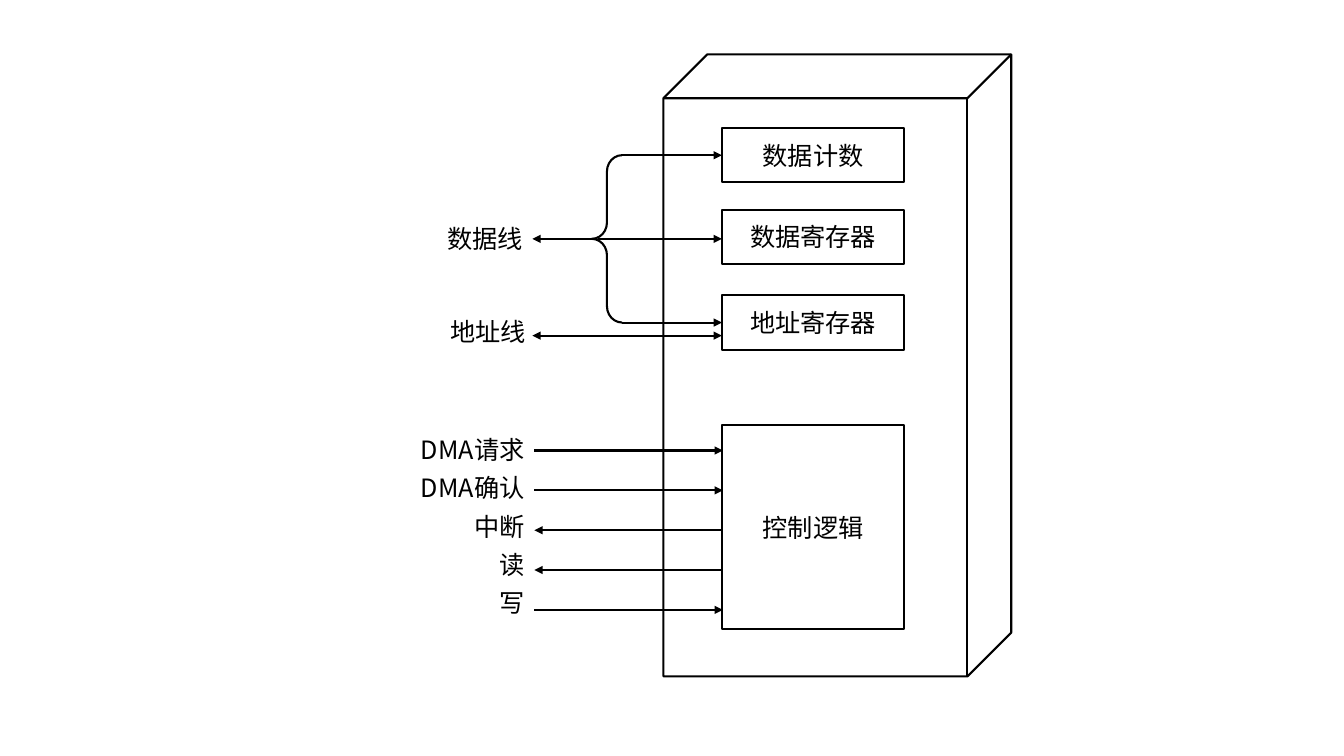
from lxml import etree
from pptx import Presentation
from pptx.dml.color import RGBColor
from pptx.enum.shapes import MSO_CONNECTOR, MSO_SHAPE
from pptx.enum.text import MSO_ANCHOR, PP_ALIGN
from pptx.oxml.ns import qn
from pptx.util import Inches, Pt

BLACK = RGBColor(0, 0, 0)
FONT = "Noto Sans CJK SC"

# Content: blocks as (text, top, height)
BLOCKS = [
    ("数据计数", 1.27, 0.54),
    ("数据寄存器", 2.08, 0.54),
    ("地址寄存器", 2.93, 0.54),
    ("控制逻辑", 4.22, 2.02),
]
# Bus labels as (text, left, top)
BUS_LABELS = [("数据线", 4.34, 2.17), ("地址线", 4.37, 3.09)]
# Control signals as (text, runs into the control logic)
SIGNALS = [
    ("DMA请求", True),
    ("DMA确认", True),
    ("中断", False),
    ("读", False),
    ("写", True),
]

# Layout
BLOCK_LEFT, BLOCK_WIDTH = 7.16, 1.81
BUS_LEFT = 5.28
BRACE_LEFT, BRACE_WIDTH = 5.87, 0.3
BRACE_TOP, BRACE_BOTTOM = 1.54, 3.2
BRACE_MIDDLE = (BRACE_TOP + BRACE_BOTTOM) / 2
ADDRESS_Y = 3.33
SIGNAL_LEFT, SIGNAL_RIGHT = 5.3, 7.17
SIGNAL_TOP, SIGNAL_STEP = 4.47, 0.395
LABEL_LEFT, LABEL_TOP, LABEL_STEP = 3.98, 4.26, 0.38

presentation = Presentation()
presentation.slide_width = Inches(13.33)
presentation.slide_height = Inches(7.5)
slide = presentation.slides.add_slide(presentation.slide_layouts[6])


def write(frame, text, alignment):
    frame.word_wrap = True
    paragraph = frame.paragraphs[0]
    paragraph.text = text
    paragraph.alignment = alignment
    font = paragraph.font
    font.size = Pt(18)
    font.color.rgb = BLACK
    font.name = FONT
    properties = paragraph._p.pPr.find(qn("a:defRPr"))
    etree.SubElement(properties, qn("a:ea"), typeface=FONT)


def add_outline(kind, left, top, width, height, *adjustments):
    shape = slide.shapes.add_shape(
        kind, Inches(left), Inches(top), Inches(width), Inches(height))
    for index, value in enumerate(adjustments):
        shape.adjustments[index] = value
    shape.shadow.inherit = False
    shape.fill.background()
    shape.line.color.rgb = BLACK
    shape.line.width = Pt(1.5)
    return shape


def add_label(text, left, top, width, alignment):
    box = slide.shapes.add_textbox(
        Inches(left), Inches(top), Inches(width), Inches(0.4))
    write(box.text_frame, text, alignment)


def add_arrow(start, end, y, both_ends=False):
    arrow = slide.shapes.add_connector(
        MSO_CONNECTOR.STRAIGHT, Inches(start), Inches(y), Inches(end), Inches(y))
    arrow.line.color.rgb = BLACK
    arrow.line.width = Pt(1.5)
    line = arrow.line._get_or_add_ln()
    for tag in ("a:headEnd", "a:tailEnd") if both_ends else ("a:tailEnd",):
        etree.SubElement(line, qn(tag), type="triangle")
    etree.SubElement(arrow._element.spPr, qn("a:effectLst"))
    return arrow


# Module body and its blocks
add_outline(MSO_SHAPE.CUBE, 6.58, 0.54, 3.45, 6.17, 0.126)
blocks = []
for text, top, height in BLOCKS:
    block = add_outline(MSO_SHAPE.RECTANGLE, BLOCK_LEFT, top, BLOCK_WIDTH, height)
    block.text_frame.vertical_anchor = MSO_ANCHOR.MIDDLE
    write(block.text_frame, text, PP_ALIGN.CENTER)
    blocks.append(block)
count_block, _, address_block, _ = blocks

# Data lines branching through the brace
add_outline(MSO_SHAPE.LEFT_BRACE, BRACE_LEFT, BRACE_TOP, BRACE_WIDTH,
            BRACE_BOTTOM - BRACE_TOP, 0.539, 0.5)
for y, block in ((BRACE_TOP, count_block), (BRACE_BOTTOM, address_block)):
    branch = add_arrow(BRACE_LEFT + BRACE_WIDTH, BLOCK_LEFT, y)
    branch.end_connect(block, 1)
add_arrow(5.93, BLOCK_LEFT, BRACE_MIDDLE)
add_arrow(BRACE_LEFT, BUS_LEFT, BRACE_MIDDLE)

# Address lines and bus labels
add_arrow(BLOCK_LEFT, BUS_LEFT, ADDRESS_Y, both_ends=True)
for text, left, top in BUS_LABELS:
    add_label(text, left, top, 1.07, PP_ALIGN.LEFT)

# Control signals
for row, (text, inward) in enumerate(SIGNALS):
    ends = (SIGNAL_LEFT, SIGNAL_RIGHT) if inward else (SIGNAL_RIGHT, SIGNAL_LEFT)
    add_arrow(*ends, SIGNAL_TOP + row * SIGNAL_STEP)
    add_label(text, LABEL_LEFT, LABEL_TOP + row * LABEL_STEP, 1.32, PP_ALIGN.RIGHT)

presentation.save("out.pptx")
